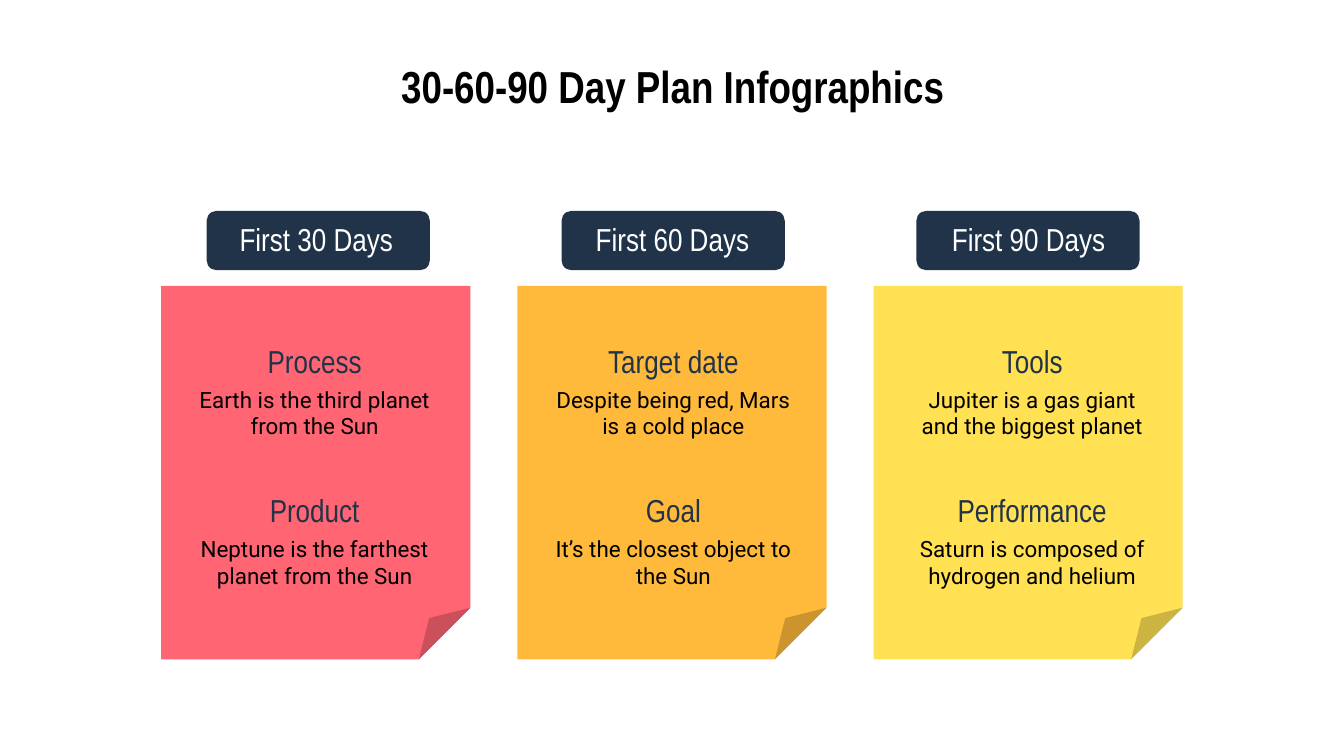
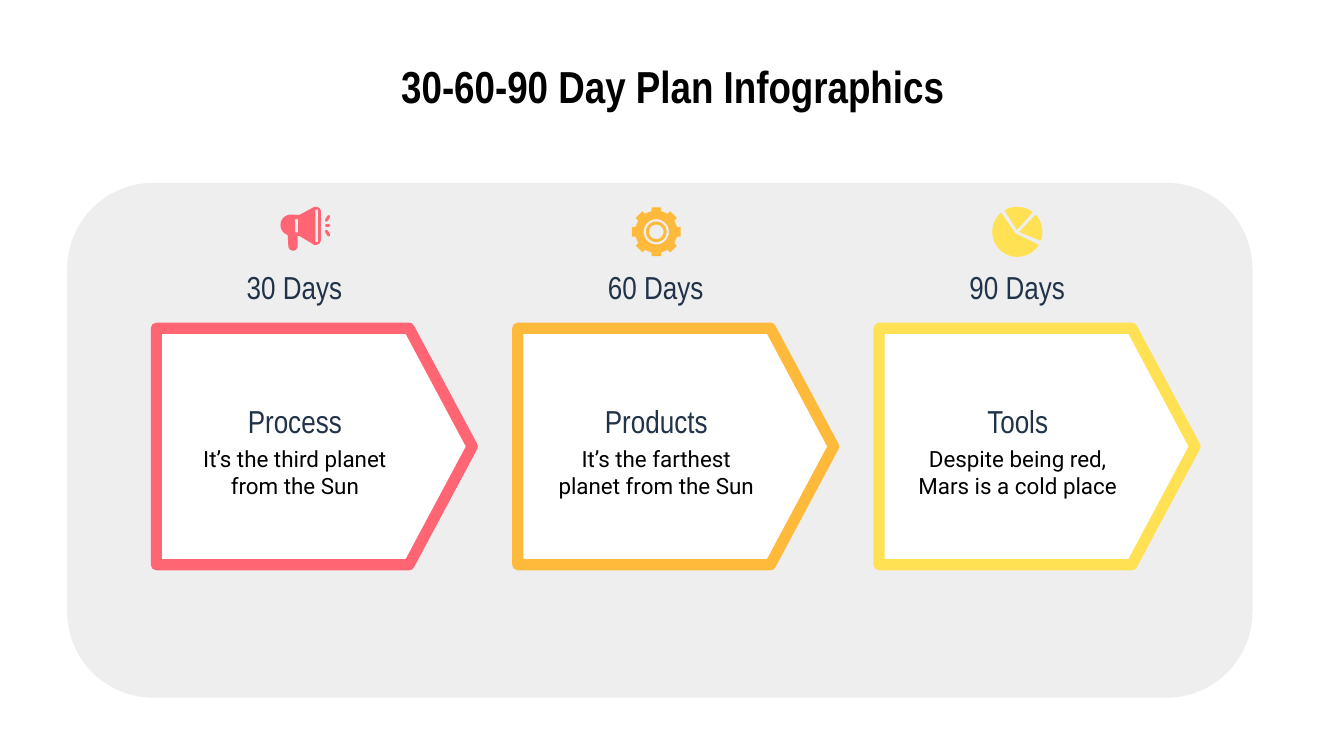
from math import cos, radians, sin

from lxml.etree import SubElement
from pptx import Presentation
from pptx.dml.color import RGBColor
from pptx.enum.shapes import MSO_CONNECTOR, MSO_SHAPE
from pptx.enum.text import MSO_ANCHOR, PP_ALIGN
from pptx.oxml.ns import qn
from pptx.util import Pt

NAVY, BLACK, WHITE, GREY = "203349", "000000", "FFFFFF", "EEEEEE"
ACCENTS = ["FF6573", "FFB93B", "FFE153"]
HEADING_FONT, BODY_FONT = "Arial Narrow", "Roboto"
TITLE = "30-60-90 Day Plan Infographics"

NOTES = [
    ("First 30 Days", [("Process", "Earth is the third planet from the Sun"),
                       ("Product", "Neptune is the farthest planet from the Sun")]),
    ("First 60 Days", [("Target date", "Despite being red, Mars is a cold place"),
                       ("Goal", "It’s the closest object to the Sun")]),
    ("First 90 Days", [("Tools", "Jupiter is a gas giant\vand the biggest planet"),
                       ("Performance", "Saturn is composed of hydrogen and helium")]),
]
STAGES = [
    ("30 Days", "Process", "It’s the third planet from the Sun"),
    ("60 Days", "Products", "It’s the farthest planet from the Sun"),
    ("90 Days", "Tools", "Despite being red,\vMars is a cold place"),
]


def colour(value):
    return RGBColor.from_string(value)


def arc(radius, start, end, x=0, y=0, step=6):
    """Return points along a clockwise arc, angles in degrees."""
    count = max(1, round((end - start) / step))
    angles = [radians(start + (end - start) * i / count) for i in range(count + 1)]
    return [(x + radius * cos(a), y + radius * sin(a)) for a in angles]


class Painter:
    """Holds the deck style and the current slide."""

    def __init__(self):
        self.deck = Presentation()
        self.deck.slide_width, self.deck.slide_height = Pt(720), Pt(405)
        self.slide = None

    def new_slide(self, title):
        self.slide = self.deck.slides.add_slide(self.deck.slide_layouts[6])
        self.text(title, 14.4, 24.5, 692, 45.4, 24, HEADING_FONT, BLACK, True, MSO_ANCHOR.TOP)

    def text(self, words, left, top, width, height, size, font, ink,
             bold=False, anchor=MSO_ANCHOR.MIDDLE):
        box = self.slide.shapes.add_textbox(Pt(left), Pt(top), Pt(width), Pt(height))
        frame = box.text_frame
        frame.word_wrap = True
        frame.vertical_anchor = anchor
        frame.margin_left = frame.margin_right = Pt(7.2)
        frame.margin_top = frame.margin_bottom = Pt(7.2)
        frame.text = words
        para = frame.paragraphs[0]
        para.alignment = PP_ALIGN.CENTER
        for span in para.runs:
            span.font.name, span.font.size, span.font.bold = font, Pt(size), bold
            span.font.color.rgb = colour(ink)

    def heading(self, words, left, top, width, ink=NAVY):
        self.text(words, left, top, width, 33.8, 17, HEADING_FONT, ink)

    def body(self, words, left, top, width):
        self.text(words, left, top, width, 41.8, 12, BODY_FONT, BLACK)

    def paint(self, shape, fill):
        shape.shadow.inherit = False
        shape.fill.solid()
        shape.fill.fore_color.rgb = colour(fill)
        shape.line.fill.background()

    def shape(self, kind, left, top, width, height, fill):
        shape = self.slide.shapes.add_shape(kind, Pt(left), Pt(top), Pt(width), Pt(height))
        self.paint(shape, fill)
        return shape

    def pennant(self, left, top, width, height, edge):
        shape = self.shape(MSO_SHAPE.FLOWCHART_OFFPAGE_CONNECTOR, left, top, width, height, WHITE)
        shape.rotation = 270
        shape.line.color.rgb = colour(edge)
        shape.line.width = Pt(6)
        SubElement(shape.element.spPr.find(qn("a:ln")), qn("a:round"))

    def outline(self, contours, x, y, fill):
        """Draw closed contours, given around the centre x, y, as one shape."""
        placed = [[(Pt(x + dx), Pt(y + dy)) for dx, dy in points] for points in contours]
        builder = self.slide.shapes.build_freeform(*placed[0][0])
        for number, points in enumerate(placed):
            if number:
                builder.move_to(*points[0])
            builder.add_line_segments(points[1:], close=True)
        self.paint(builder.convert_to_shape(), fill)

    def stroke(self, x1, y1, x2, y2, ink):
        line = self.slide.shapes.add_connector(
            MSO_CONNECTOR.STRAIGHT, Pt(x1), Pt(y1), Pt(x2), Pt(y2))
        line.line.color.rgb = colour(ink)
        line.line.width = Pt(1.6)
        properties = line._element.spPr
        properties.find(qn("a:ln")).set("cap", "rnd")
        SubElement(properties, qn("a:effectLst"))


def draw_megaphone(painter, x, y, ink):
    horn = [(4.3, -13.3), (-3.6, -9), *reversed(arc(5.6, 90, 270, -8.1, -3.6)),
            *reversed(arc(2.5, 0, 180, -7, 7.6)),
            (-4.5, 2.2), (-3.6, 2.2), (4.3, 7), (5.8, 7),
            (7.3, 6.3), (7.9, 4.7), (7.9, -11.2), (7.3, -12.7), (5.8, -13.3)]
    horn[2:-11] = [p for p in horn[2:-11] if p[1] < 1.8 or p[1] >= 7.6]
    slots = [[(left, top), (right, top), (right, bottom), (left, bottom)]
             for left, top, right, bottom in [(-5.8, -6.8, -4.3, 0.4), (5, -11.9, 6.5, 5.4)]]
    painter.outline([horn, *slots], x, y, ink)
    for start, end in [(-6.1, -8.3), (-3.2, -3.2), (-0.4, 1.8)]:
        painter.stroke(x + 10.8, y + start, x + 12.2, y + end, ink)


def draw_gear(painter, x, y, ink):
    rim = []
    for angle in range(0, 360, 45):
        for radius, turn in [(11.4, -13), (13.3, -11), (13.3, 11), (11.4, 13)]:
            rim += arc(radius, angle + turn, angle + turn)[:1]
    painter.outline([rim] + [arc(radius, 0, 354) for radius in (6.8, 5.5, 3.9)], x, y, ink)


def draw_pie(painter, x, y, ink):
    for tip, start, end in [((-1, 0.9), 31, 230), ((-0.2, -1), 239, 308), ((1, 0.1), 317, 381)]:
        painter.outline([[tip, *arc(13.4, start, end)]], x, y, ink)


def draw_notes(painter):
    painter.new_slide(TITLE)
    for column, ((label, topics), accent) in enumerate(zip(NOTES, ACCENTS)):
        left = 86.4 + 190.8 * column
        painter.shape(MSO_SHAPE.FOLDED_CORNER, left, 153.2, 165.6, 200, accent)
        painter.shape(MSO_SHAPE.FLOWCHART_ALTERNATE_PROCESS,
                      110.7 + 190.1 * column, 113, 119.6, 31.8, NAVY)
        painter.heading(label, left + 15.1, 111, 136, WHITE)
        text_left = 95.5 + 192.2 * column
        for row, (topic, detail) in enumerate(topics):
            top = 176.5 + 80 * row
            painter.heading(topic, text_left, top, 146.2)
            painter.body(detail, text_left, top + 23.6, 146.2)


def draw_stages(painter):
    painter.new_slide(TITLE)
    panel = painter.shape(MSO_SHAPE.ROUNDED_RECTANGLE, 36, 98, 635, 275.8, GREY)
    panel.adjustments[0] = 0.167
    for column, ((days, topic, detail), accent) in enumerate(zip(STAGES, ACCENTS)):
        shift = 193.6 * column
        painter.pennant(105 + shift, 154.6, 126.7, 169.2, accent)
        painter.heading(days, 108 + shift, 137, 99.4)
        painter.heading(topic, 90 + shift, 208.8, 136)
        painter.body(detail, 95 + shift, 232, 126)
    icons = [(draw_megaphone, 164), (draw_gear, 351.6), (draw_pie, 545)]
    for (draw_icon, x), accent in zip(icons, ACCENTS):
        draw_icon(painter, x, 124.2, accent)


def main():
    painter = Painter()
    draw_notes(painter)
    draw_stages(painter)
    painter.deck.save("out.pptx")


if __name__ == "__main__":
    main()
